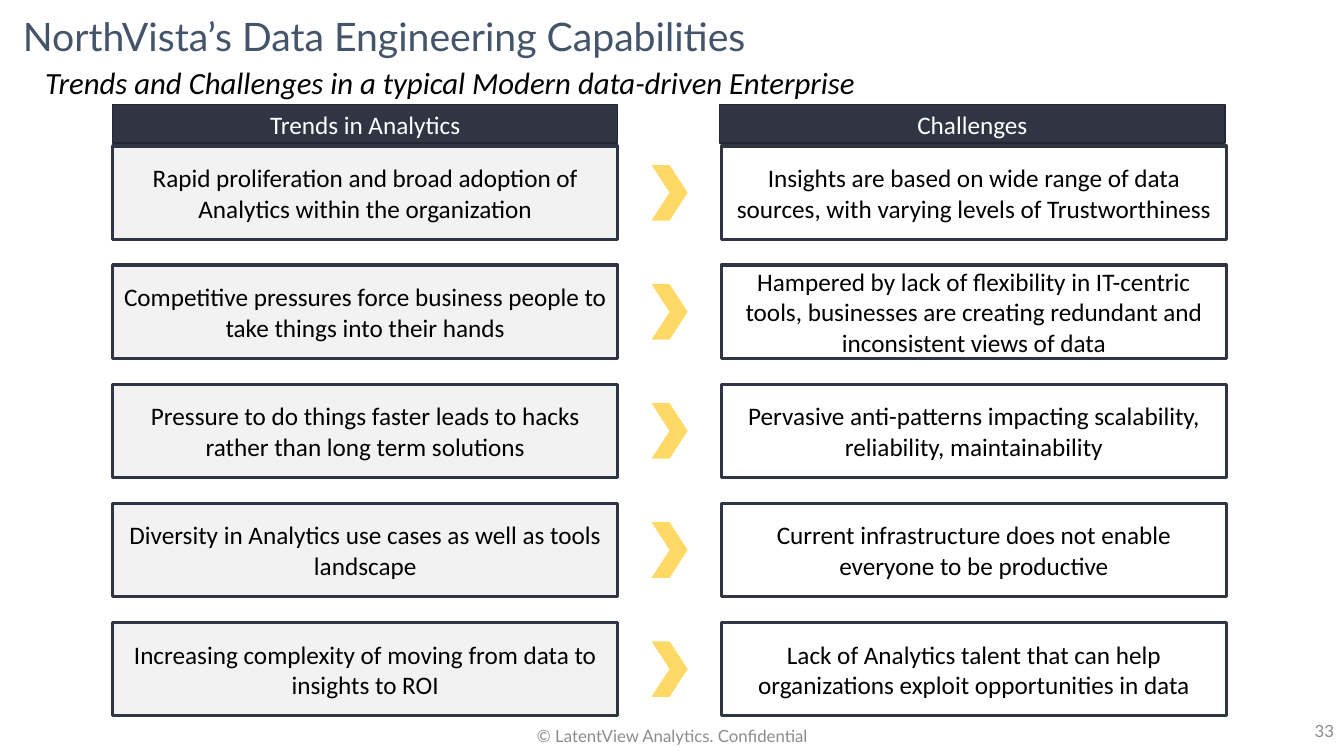
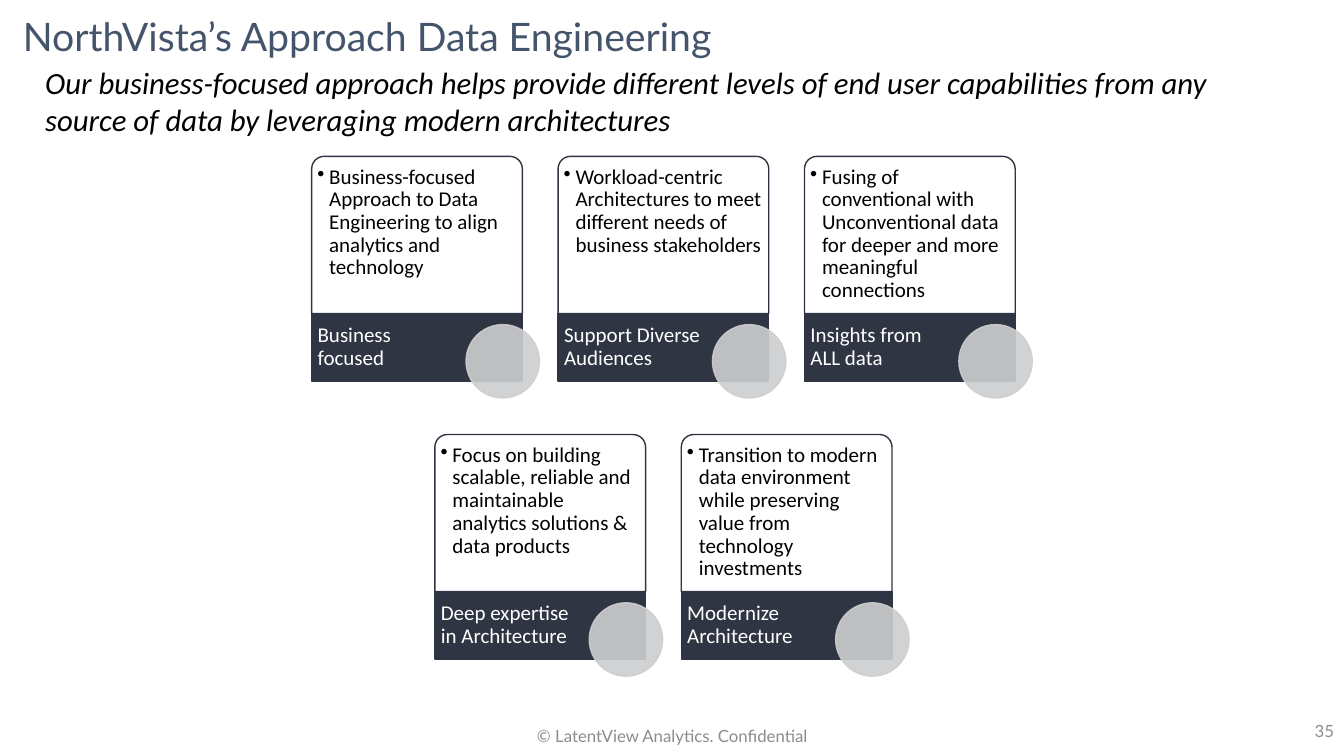
from dataclasses import dataclass

from lxml.etree import SubElement
from pptx import Presentation
from pptx.dml.color import RGBColor
from pptx.enum.shapes import MSO_SHAPE as SHAPE
from pptx.enum.text import MSO_ANCHOR as ANCHOR, PP_ALIGN as ALIGN
from pptx.oxml.ns import qn
from pptx.util import Cm, Pt


@dataclass(frozen=True)
class Theme:
    title_color: str = "44546A"
    ink: str = "000000"
    paper: str = "FFFFFF"
    muted: str = "8C8C8C"
    navy: str = "2F3542"
    navy_edge: str = "232731"
    pale: str = "F2F2F2"
    accent: str = "FFD965"
    disc: str = "CDCECF"
    head_font: str = "Lato"
    body_font: str = "Calibri"
    title_size: int = 28
    subtitle_size: int = 22
    box_size: int = 18
    card_size: int = 15
    footer_size: int = 12


T = Theme()
INSETS = (0.25, 0.13, 0.25, 0.13)
FOOTER = "© LatentView Analytics. Confidential"

TRENDS = [
    ("Rapid proliferation and broad adoption of Analytics within the organization",
     "Insights are based on wide range of data sources, with varying levels of Trustworthiness"),
    ("Competitive pressures force business people to take things into their hands",
     "Hampered by lack of flexibility in IT-centric tools, businesses are creating "
     "redundant and inconsistent views of data"),
    ("Pressure to do things faster leads to hacks rather than long term solutions",
     "Pervasive anti-patterns impacting scalability, reliability, maintainability"),
    ("Diversity in Analytics use cases as well as tools landscape",
     "Current infrastructure does not enable everyone to be productive"),
    ("Increasing complexity of moving from data to insights to ROI",
     "Lack of Analytics talent that can help organizations exploit opportunities in data"),
]

CARD_ROWS = [
    [("Business focused",
      "Business-focused Approach to Data Engineering to align analytics and technology"),
     ("Support Diverse Audiences",
      "Workload-centric Architectures to meet different needs of business stakeholders"),
     ("Insights from ALL data",
      "Fusing of conventional with Unconventional data for deeper and more meaningful connections")],
    [("Deep expertise in Architecture",
      "Focus on building scalable, reliable and maintainable analytics solutions & data products"),
     ("Modernize Architecture",
      "Transition to modern data environment while preserving value from technology investments")],
]


def write(sp, text, size, color=T.ink, font=T.body_font, italic=False, align=ALIGN.LEFT,
          anchor=ANCHOR.TOP, insets=INSETS, spacing=None, bullet_indent=None):
    tf = sp.text_frame
    tf.word_wrap = True
    tf.vertical_anchor = anchor
    tf.margin_left, tf.margin_top, tf.margin_right, tf.margin_bottom = map(Cm, insets)
    p = tf.paragraphs[0]
    p.alignment = align
    if spacing:
        p.line_spacing = spacing
    if bullet_indent:
        pPr = p._p.get_or_add_pPr()
        pPr.set("marL", str(Cm(bullet_indent)))
        pPr.set("indent", str(-Cm(bullet_indent)))
        SubElement(pPr, qn("a:buChar"), char="•")
    r = p.add_run()
    r.text = text
    r.font.size = Pt(size)
    r.font.name = font
    r.font.italic = italic
    r.font.color.rgb = RGBColor.from_string(color)


def add_text(s, box, text, size, **fmt):
    write(s.shapes.add_textbox(*map(Cm, box)), text, size, **fmt)


def add_box(s, kind, box, fill, line=None, width=1, alpha=None):
    sp = s.shapes.add_shape(kind, *map(Cm, box))
    sp.shadow.inherit = False
    sp.fill.solid()
    sp.fill.fore_color.rgb = RGBColor.from_string(fill)
    if line:
        sp.line.color.rgb = RGBColor.from_string(line)
        sp.line.width = Pt(width)
    else:
        sp.line.fill.background()
    if alpha:
        for clr in sp._element.spPr.iter(qn("a:srgbClr")):
            SubElement(clr, qn("a:alpha"), val=str(alpha * 1000))
    return sp


def add_frame(prs, title, subtitle, number, subtitle_height):
    s = prs.slides.add_slide(prs.slide_layouts[6])
    add_text(s, (26.25, 18.03, 7.62, 1.02), number, T.footer_size, color=T.muted,
             font=T.head_font, align=ALIGN.RIGHT)
    add_text(s, (0.33, 0, 31.12, 1.96), title, T.title_size, color=T.title_color,
             font=T.head_font, anchor=ANCHOR.MIDDLE, spacing=0.9)
    add_text(s, (11.23, 18.03, 11.43, 1.02), FOOTER, T.footer_size, color=T.muted,
             font=T.head_font, align=ALIGN.CENTER, anchor=ANCHOR.MIDDLE)
    add_text(s, (0.89, 1.47, 31.52, subtitle_height), subtitle, T.subtitle_size, italic=True)
    return s


def add_centred_box(s, box, text, fill, line, width, color=T.ink):
    sp = add_box(s, SHAPE.RECTANGLE, box, fill, line, width)
    write(sp, text, T.box_size, color=color, align=ALIGN.CENTER, anchor=ANCHOR.MIDDLE)


def add_trend_row(s, x, y, w, h, trend, challenge):
    box_w, chevron_w, chevron_h = 12.73, 0.91, 1.4
    add_centred_box(s, (x, y, box_w, h), trend, T.pale, T.navy, 2.25)
    add_centred_box(s, (x + w - box_w, y, box_w, h), challenge, T.paper, T.navy, 2.25)
    add_box(s, SHAPE.CHEVRON,
            (x + (w - chevron_w) / 2, y + (h - chevron_h) / 2, chevron_w, chevron_h), T.accent)


def add_card(s, x, y, w, h, label, body):
    label_h, disc = 1.7, 1.85
    body_h = h - label_h
    sp = add_box(s, SHAPE.ROUND_2_SAME_RECTANGLE, (x, y, w, body_h), T.paper, T.navy)
    sp.adjustments[0] = 0.08
    write(sp, body, T.card_size, insets=(0.05, 0.15, 0.05, 0.05), spacing=0.9,
          bullet_indent=0.3)
    sp = add_box(s, SHAPE.RECTANGLE, (x, y + body_h, w, label_h), T.navy, T.navy)
    write(sp, label, T.card_size, color=T.paper, anchor=ANCHOR.MIDDLE,
          insets=(0.15, 0, 1.63, 0), spacing=0.9)
    add_box(s, SHAPE.OVAL, (x + w - 1.42, y + body_h + 0.28, disc, disc), T.disc, T.disc,
            alpha=90)


def build_trends(prs):
    s = add_frame(prs, "NorthVista’s Data Engineering Capabilities",
                  "Trends and Challenges in a typical Modern data-driven Enterprise", "33", 1.19)
    x, y, w, pitch = 2.84, 3.68, 28.07, 3
    for i, (trend, challenge) in enumerate(TRENDS):
        add_trend_row(s, x, y + i * pitch, w, 2.36, trend, challenge)
    for left, heading in ((x, "Trends in Analytics"), (18.14, "Challenges")):
        add_centred_box(s, (left, 2.64, 12.73, 0.97), heading, T.navy, T.navy_edge, 1, T.paper)


def build_approach(prs):
    s = add_frame(prs, "NorthVista’s Approach Data Engineering",
                  "Our business-focused approach helps provide different levels of end user "
                  "capabilities from any source of data by leveraging modern architectures",
                  "35", 2.13)
    centre, y, w, h, gap, pitch = 16.72, 3.94, 5.31, 5.66, 0.9, 7.01
    for i, cards in enumerate(CARD_ROWS):
        left = centre - (len(cards) * (w + gap) - gap) / 2
        for j, (label, body) in enumerate(cards):
            add_card(s, left + j * (w + gap), y + i * pitch, w, h, label, body)


def main():
    prs = Presentation()
    prs.slide_width, prs.slide_height = Cm(33.87), Cm(19.05)
    build_trends(prs)
    build_approach(prs)
    prs.save("out.pptx")


if __name__ == "__main__":
    main()
